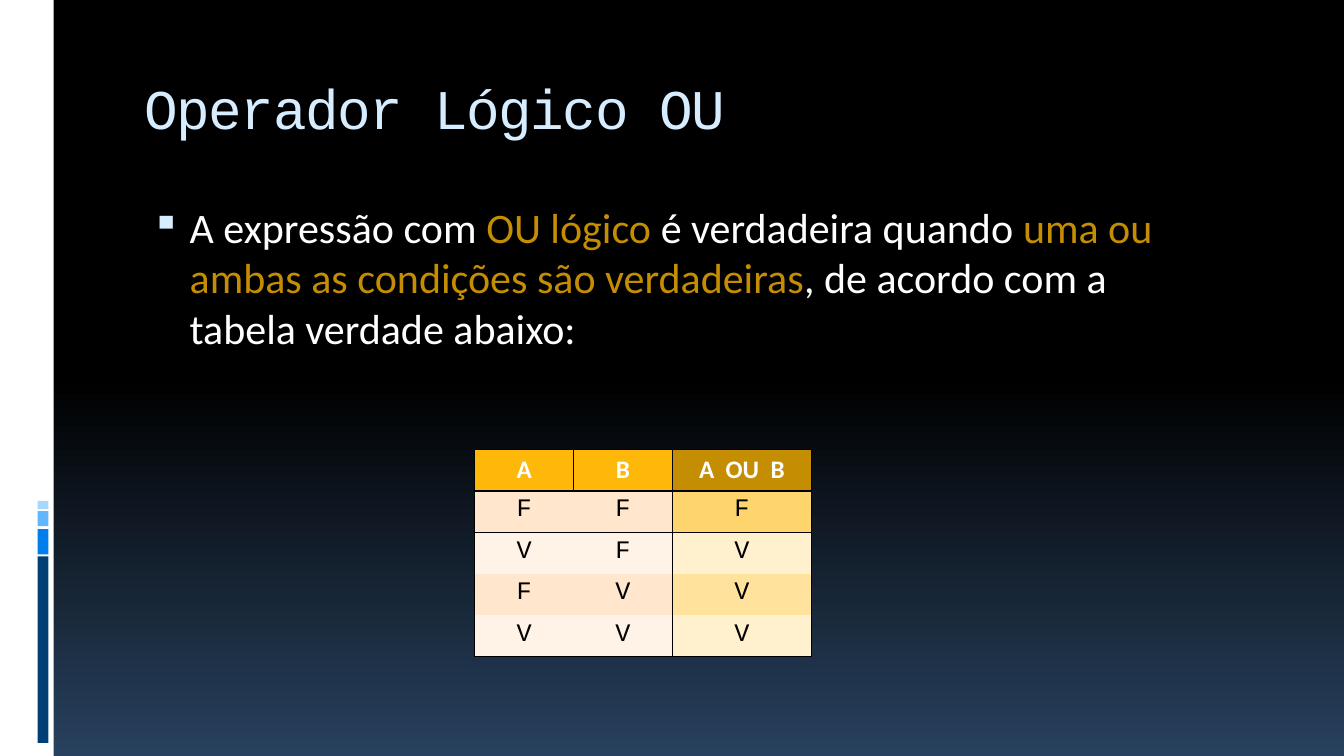
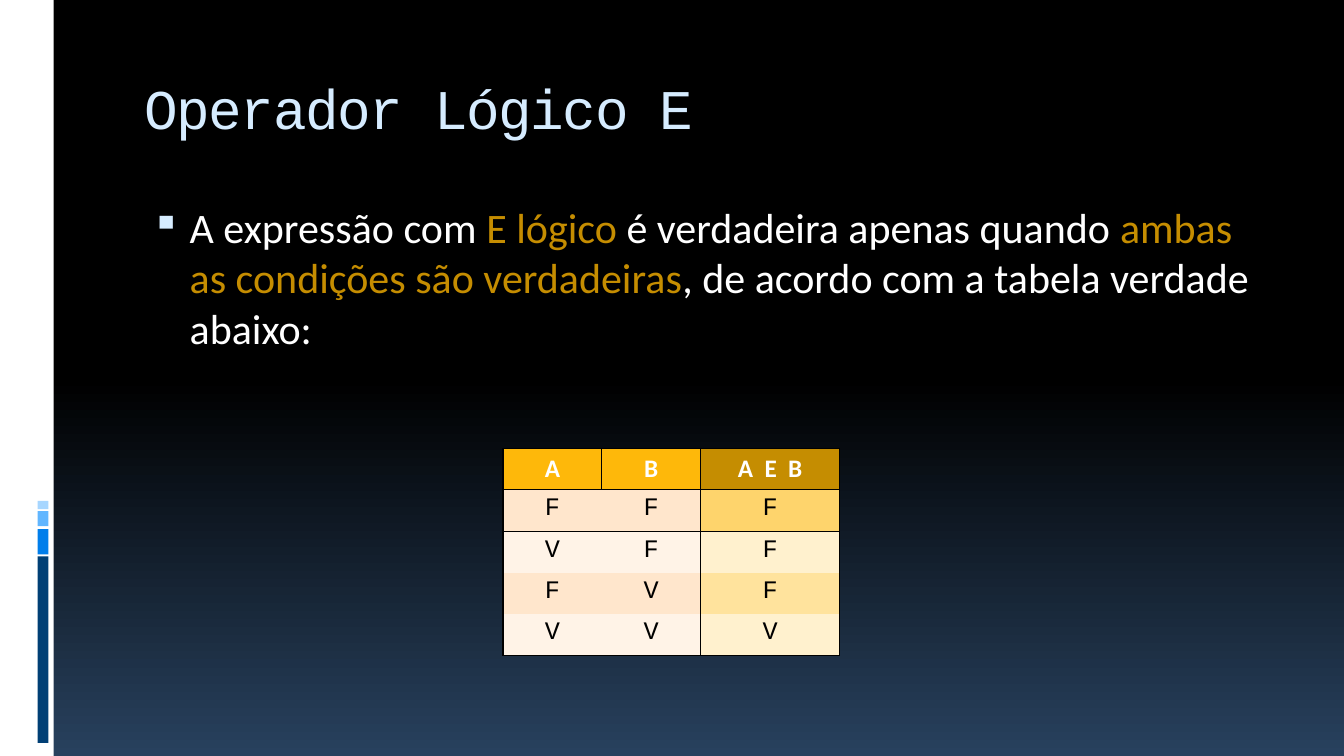
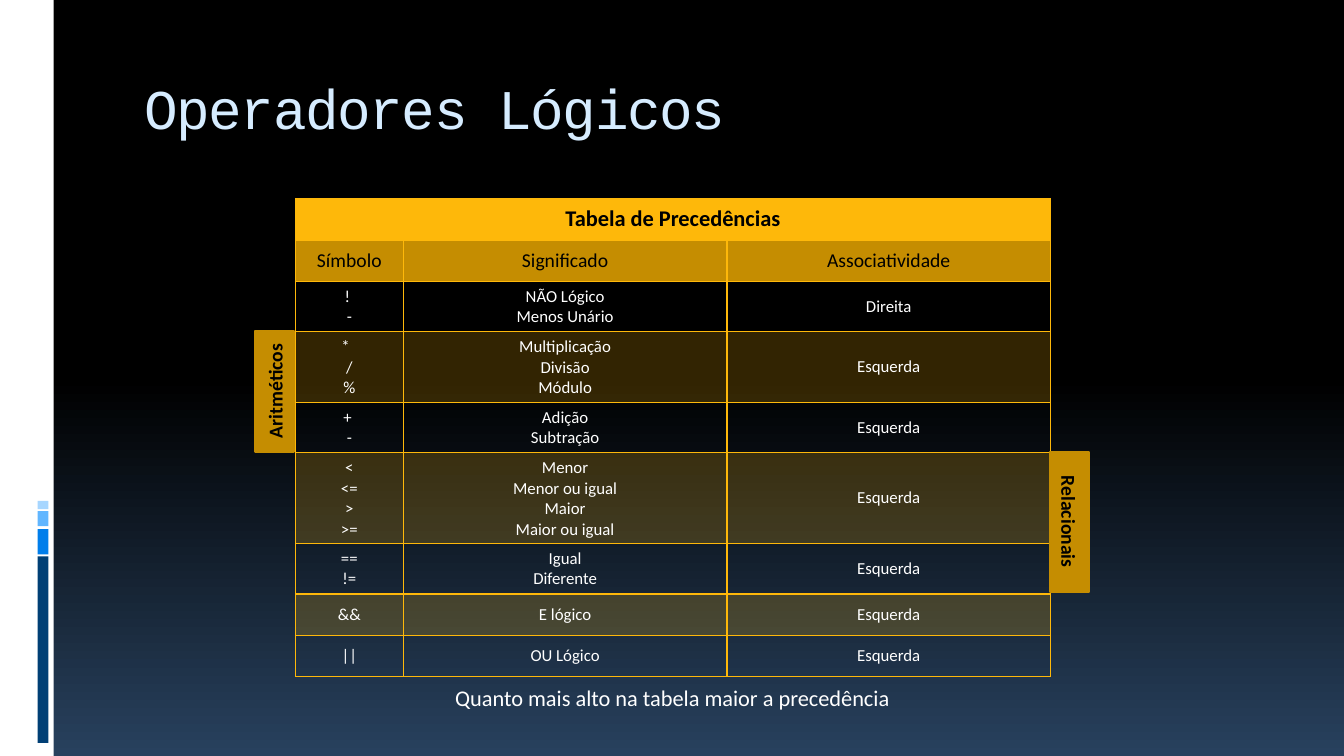
"""Build three slides on logical operators, their truth tables and precedence."""
import pptx
import pptx.dml.color
import pptx.enum.shapes
import pptx.enum.text
import pptx.oxml
import pptx.oxml.ns
import pptx.util

WIDTH, HEIGHT = 13.33, 7.5
BLACK, WHITE, NAVY = "000000", "FFFFFF", "28415E"
PALE, AMBER, GOLD = "D6ECFF", "FEB80A", "C58D01"
NO_STYLE = "{2D5ABB26-0587-4C30-8999-92F81FD0307C}"
ROW = 5.47
CENTER = pptx.enum.text.PP_ALIGN.CENTER
MIDDLE = pptx.enum.text.MSO_ANCHOR.MIDDLE
TOP = pptx.enum.text.MSO_ANCHOR.TOP

TITLE = {"size": 40, "name": "Courier New", "color": PALE}
BODY = {"size": 30, "name": "Calibri", "color": WHITE}
TRUTH_HEAD = {"size": 18, "name": "Calibri", "color": WHITE, "bold": True}
TRUTH_CELL = {"size": 18, "name": "Courier New", "color": BLACK, "bold": False}
RANK_TITLE = {"size": 16, "name": "Calibri", "color": BLACK, "bold": True}
RANK_HEAD = {"size": 14, "name": "Calibri", "color": BLACK, "bold": False}
RANK_CELL = {"size": 12, "name": "Calibri", "color": WHITE, "bold": False}
CAPTION = {"size": 16, "name": "Calibri", "color": WHITE}
TAB = {"size": 14, "name": "Calibri", "color": BLACK, "bold": True}

BARS = [(66.27, 1.07, "A7D6FF"), (67.6, 2, "61B6FF"),
        (70, 3.33, "007EEB"), (73.6, 24.67, "003F75")]
INPUTS = ["FF", "VF", "FV", "VV"]
INPUT_FILLS = ["FFE6CC", "FFF3E7", "FFE6CC", "FFF3E7"]
RESULT_FILLS = ["FED46C", "FFF1CE", "FFE39D", "FFF1CE"]
PRECEDENCE = [
    ("! \n-", "NÃO Lógico\vMenos Unário", "Direita"),
    ("*  \v/\v%", "Multiplicação\nDivisão\nMódulo", "Esquerda"),
    ("+ \v-", "Adição\nSubtração", "Esquerda"),
    ("<\v<=\n>\v>=", "Menor\nMenor ou igual\nMaior\nMaior ou igual", "Esquerda"),
    ("==\v!=", "Igual\nDiferente", "Esquerda"),
    ("&&", "E lógico", "Esquerda"),
    ("||", "OU Lógico", "Esquerda"),
]


def rgb(value):
    return pptx.dml.color.RGBColor.from_string(value)


def across(share):
    return pptx.util.Inches(WIDTH * share / 100)


def down(share):
    return pptx.util.Inches(HEIGHT * share / 100)


def place(x, y, w, h):
    return across(x), down(y), across(w), down(h)


def style(font, fmt):
    for key, value in fmt.items():
        if key == "color":
            font.color.rgb = rgb(value)
        else:
            setattr(font, key, pptx.util.Pt(value) if key == "size" else value)


def write(tf, text, fmt, align=CENTER):
    tf.text = text
    for p in tf.paragraphs:
        p.alignment = align
        for r in p.runs:
            style(r.font, fmt)


def add_xml(parent, xml):
    ns = pptx.oxml.ns.nsdecls("a")
    parent.append(pptx.oxml.parse_xml(xml.replace(">", f" {ns}>", 1)
                                      if "/>" not in xml.split(">", 1)[0] + ">"
                                      else xml.replace("/>", f" {ns}/>", 1)))


def add_box(s, at, color):
    sp = s.shapes.add_shape(pptx.enum.shapes.MSO_SHAPE.RECTANGLE, *place(*at))
    sp.shadow.inherit = False
    sp.fill.solid()
    sp.fill.fore_color.rgb = rgb(color)
    sp.line.fill.background()
    return sp


def add_text(s, at, text, fmt, align=CENTER, anchor=TOP):
    tf = s.shapes.add_textbox(*place(*at)).text_frame
    tf.word_wrap = True
    tf.vertical_anchor = anchor
    write(tf, text, fmt, align)
    return tf


def add_slide(prs, title):
    s = prs.slides.add_slide(prs.slide_layouts[6])
    add_box(s, (0, 0, 4, 100), WHITE)
    for y, h, color in BARS:
        add_box(s, (2.8, y, 0.8, h), color)
    tf = add_text(s, (10, 7.47, 85, 13.33), title, TITLE,
                  pptx.enum.text.PP_ALIGN.LEFT, MIDDLE)
    for r in tf.paragraphs[0].runs:
        r.font._element.set("spc", "-100")
    return s


def add_bullet(s, runs):
    p = add_text(s, (10, 26, 85, 66.67), "", BODY, None).paragraphs[0]
    p.space_before = pptx.util.Pt(7)
    pPr = p._p.get_or_add_pPr()
    pPr.set("marL", str(pptx.util.Inches(0.45)))
    pPr.set("indent", str(pptx.util.Inches(-0.38)))
    add_xml(pPr, f'<a:buClr><a:srgbClr val="{PALE}"/></a:buClr>')
    add_xml(pPr, '<a:buSzPct val="95000"/>')
    add_xml(pPr, '<a:buChar char="▪"/>')
    for text, color in runs:
        for i, line in enumerate(text.split("\v")):
            if i:
                p.add_line_break()
            r = p.add_run()
            r.text = line
            style(r.font, {**BODY, "color": color})


def add_table(s, x, y, cols, rows):
    frame = s.shapes.add_table(len(rows), len(cols),
                               *place(x, y, sum(cols), sum(rows)))
    table = frame.table
    table._tbl.tblPr.find(pptx.oxml.ns.qn("a:tableStyleId")).text = NO_STYLE
    for column, w in zip(table.columns, cols):
        column.width = across(w)
    for row, h in zip(table.rows, rows):
        row.height = down(h)
    return table


def fill_cell(cell, text, fmt, color, sides, line, anchor=TOP, alpha=None):
    write(cell.text_frame, text, fmt)
    cell.vertical_anchor = anchor
    tcPr = cell._tc.get_or_add_tcPr()
    for side in "LRTB":
        if side in sides:
            add_xml(tcPr, f'<a:ln{side} w="12700"><a:solidFill>'
                          f'<a:srgbClr val="{line}"/></a:solidFill></a:ln{side}>')
    if color is None:
        cell.fill.background()
        return
    cell.fill.solid()
    cell.fill.fore_color.rgb = rgb(color)
    if alpha:
        add_xml(next(tcPr.iterchildren(pptx.oxml.ns.qn("a:solidFill")))[0],
                f'<a:alpha val="{alpha * 1000}"/>')


def add_truth_table(s, x, y, name, results):
    table = add_table(s, x, y, [7.35, 7.35, 10.35], [ROW] * 5)
    for j, (text, color) in enumerate([("A", AMBER), ("B", AMBER), (name, GOLD)]):
        fill_cell(table.cell(0, j), text, TRUTH_HEAD, color, "LRTB", BLACK)
    for i, (values, result) in enumerate(zip(INPUTS, results)):
        ends = {0: "T", 3: "B"}.get(i, "")
        fills = [INPUT_FILLS[i], INPUT_FILLS[i], RESULT_FILLS[i]]
        for j, text in enumerate(values + result):
            fill_cell(table.cell(i + 1, j), text, TRUTH_CELL, fills[j],
                      ["L", "R", "LR"][j] + ends, BLACK)


def add_precedence_table(s, x, y):
    lines = [len(meaning.split()) and len(meaning.replace("\v", "\n").split("\n"))
             for _, meaning, _ in PRECEDENCE]
    heights = [ROW, ROW] + [max(ROW, 1.33 + 2.67 * n) for n in lines]
    table = add_table(s, x, y, [8.03, 24.08, 24.08], heights)
    table.cell(0, 0).merge(table.cell(0, 2))
    for j, text in enumerate(["Tabela de Precedências", "", ""]):
        fill_cell(table.cell(0, j), text, RANK_TITLE, AMBER, "LRTB", AMBER, MIDDLE)
    for j, text in enumerate(["Símbolo", "Significado", "Associatividade"]):
        fill_cell(table.cell(1, j), text, RANK_HEAD, GOLD, "LRTB", AMBER, MIDDLE)
    for i, row in enumerate(PRECEDENCE):
        for j, text in enumerate(row):
            fill_cell(table.cell(i + 2, j), text, RANK_CELL,
                      AMBER if i % 2 else None, "LRTB", AMBER, MIDDLE, 20)


def add_tab(s, at, text, rotation=0):
    sp = add_box(s, at, GOLD)
    sp.line.color.rgb = rgb(GOLD)
    sp.line.width = pptx.util.Pt(1.5)
    sp.rotation = rotation
    tf = sp.text_frame
    tf.word_wrap = False
    tf.vertical_anchor = MIDDLE
    tf._txBody.bodyPr.set("vert", "vert270")
    write(tf, text, TAB)


def set_background(prs):
    fill = prs.slide_master.background.fill
    fill.gradient()
    fill.gradient_angle = 270
    for stop, position, color in zip(fill.gradient_stops, (0.5, 1), (BLACK, NAVY)):
        stop.position = position
        stop.color.rgb = rgb(color)


def main():
    prs = pptx.Presentation()
    prs.slide_width, prs.slide_height = across(100), down(100)
    set_background(prs)

    s = add_slide(prs, "Operador Lógico OU")
    add_bullet(s, [("A expressão com ", WHITE), ("OU lógico", GOLD),
                   (" é verdadeira quando ", WHITE),
                   ("uma ou ambas as condições são verdadeiras", GOLD),
                   (", de acordo com a \vtabela verdade abaixo:", WHITE)])
    add_truth_table(s, 35.33, 59.47, "A  OU  B", "FVVV")

    s = add_slide(prs, "Operador Lógico E")
    add_bullet(s, [("A expressão com ", WHITE), ("E lógico", GOLD),
                   (" é verdadeira apenas quando ", WHITE),
                   ("ambas as condições são verdadeiras", GOLD),
                   (", de acordo com a tabela verdade abaixo:", WHITE)])
    add_truth_table(s, 37.43, 59.33, "A  E  B", "FFFV")

    s = add_slide(prs, "Operadores Lógicos")
    add_precedence_table(s, 21.98, 26.27)
    add_text(s, (21.98, 89.87, 56.11, 4.93),
             "Quanto mais alto na tabela maior a precedência", CAPTION)
    add_tab(s, (18.98, 43.73, 2.93, 16), "Aritméticos")
    add_tab(s, (78.09, 59.73, 2.93, 18.53), "Relacionais", 180)

    prs.save("out.pptx")


main()
